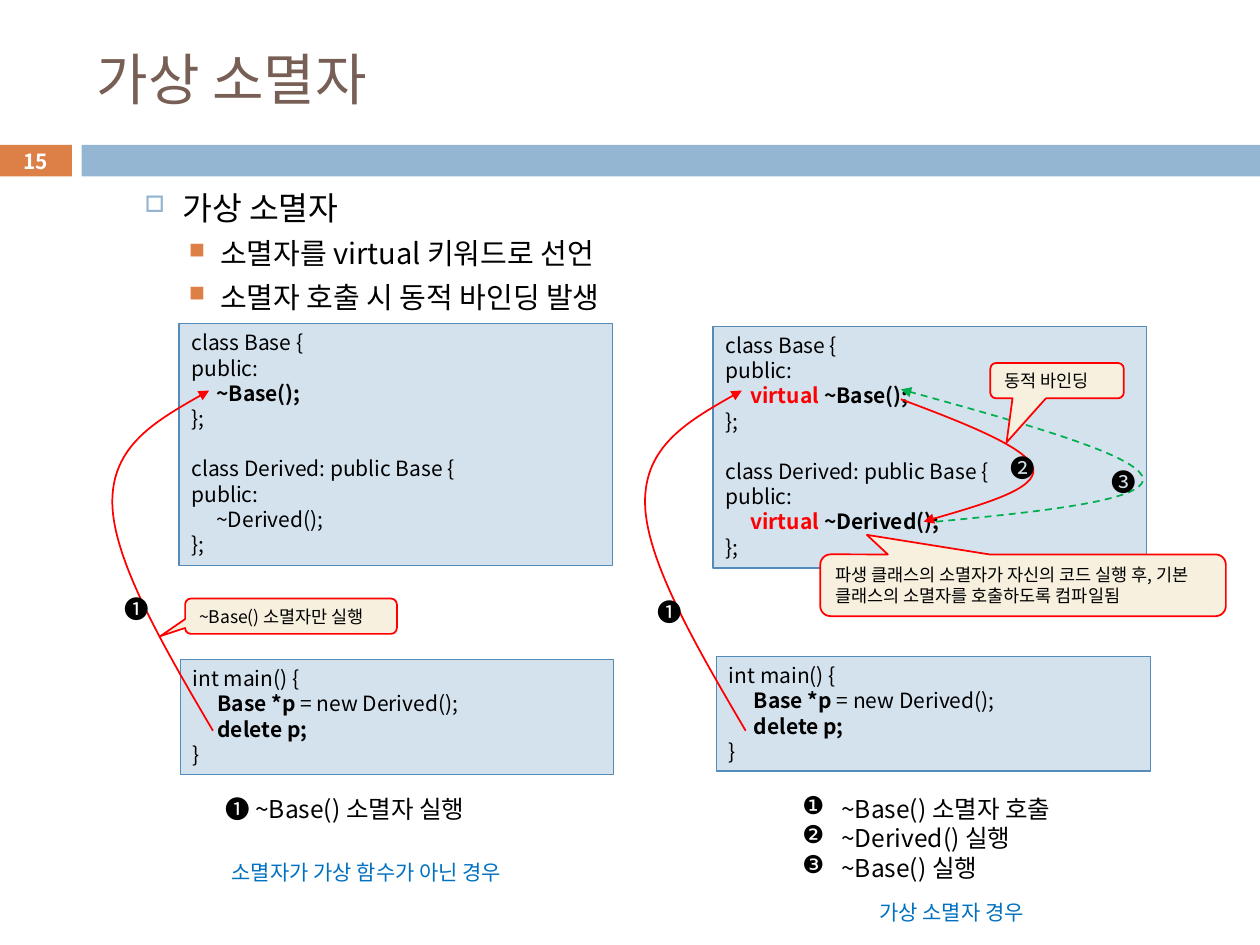
from lxml import etree
from pptx import Presentation
from pptx.dml.color import RGBColor
from pptx.enum import dml, shapes, text
from pptx.oxml import ns
from pptx.util import Pt

COLORS = {
    "black": "000000", "white": "FFFFFF", "title": "775F55", "bar": "94B6D2",
    "accent": "DD8047", "code": "D4E2ED", "edge": "558BB8", "note": "F7F0DE",
    "red": "FF0000", "green": "00B050", "caption": "0070C0",
}
FONT = "Noto Sans CJK KR"


def write(box, spans, size=12, color="black", bold=False, align="LEFT", anchor="TOP",
          wrap=True, before=0, bullet=None, bullet_color=None, bullet_size=100,
          indent=0, hang=0, tab=None):
    frame = box.text_frame
    frame.word_wrap = wrap
    frame.vertical_anchor = text.MSO_ANCHOR[anchor]
    para = frame.paragraphs[0]
    if para.runs:
        para = frame.add_paragraph()
    props = para._p.get_or_add_pPr()
    if bullet:
        props.set("marL", str(Pt(indent)))
        props.set("indent", str(-Pt(hang)))
        if bullet_color:
            tint = etree.SubElement(props, ns.qn("a:buClr"))
            etree.SubElement(tint, ns.qn("a:srgbClr"), val=COLORS[bullet_color])
        etree.SubElement(props, ns.qn("a:buSzPct"), val=str(bullet_size * 1000))
        etree.SubElement(props, ns.qn("a:buChar"), char=bullet)
    if tab:
        stops = etree.SubElement(props, ns.qn("a:tabLst"))
        etree.SubElement(stops, ns.qn("a:tab"), pos=str(Pt(tab)), algn="l")
    para.alignment = text.PP_ALIGN[align]
    para.line_spacing = Pt(round(size * 1.2, 2))
    para.space_before = Pt(before)
    if isinstance(spans, str):
        spans = [(spans, bold, color)]
    for words, heavy, ink in spans:
        span = para.add_run()
        span.text = words
        span.font.size = Pt(size)
        span.font.bold = heavy
        span.font.name = FONT
        span.font.color.rgb = RGBColor.from_string(COLORS[ink])
        etree.SubElement(span.font._element, ns.qn("a:ea"), typeface=FONT)


def add_shape(kind, left, top, width, height, fill, edge=None, weight=1):
    shape = page.shapes.add_shape(shapes.MSO_SHAPE[kind], Pt(left), Pt(top), Pt(width), Pt(height))
    shape.shadow.inherit = False
    shape.fill.solid()
    shape.fill.fore_color.rgb = RGBColor.from_string(COLORS[fill])
    if edge:
        shape.line.color.rgb = RGBColor.from_string(COLORS[edge])
        shape.line.width = Pt(weight)
    else:
        shape.line.fill.background()
    return shape


deck = Presentation()
deck.slide_width, deck.slide_height = Pt(720), Pt(540)
page = deck.slides.add_slide(deck.slide_layouts[6])

number = add_shape("RECTANGLE", -0.7, 82.8, 41.8, 18, "accent")
write(number, "15", size=11.9, color="white", bold=True, align="CENTER", anchor="MIDDLE")
add_shape("RECTANGLE", 46.6, 82.8, 673.4, 18, "bar")

title = page.shapes.add_textbox(Pt(48.2), Pt(18), Pt(642), Pt(53.3))
write(title, "가상 소멸자", size=32, color="title", anchor="MIDDLE")

body = page.shapes.add_textbox(Pt(46.8), Pt(104), Pt(642), Pt(70.6))
write(body, "가상 소멸자", size=18.5, bullet="□", bullet_color="bar", bullet_size=70,
      indent=50.4, hang=21.6)
for point in ("소멸자를 virtual 키워드로 선언", "소멸자 호출 시 동적 바인딩 발생"):
    write(body, point, size=16.6, before=5, bullet="■", bullet_color="accent", bullet_size=75,
          indent=72, hang=18)

virtual = ("virtual ", True, "red")
base_code = [
    "class Base {", "public:", [("\t", False, "black"), ("~Base();", True, "black")], "};",
    "class Derived: public Base {", "public:", "\t~Derived();", "};",
]
virtual_code = list(base_code)
virtual_code[2] = [("\t", False, "black"), virtual, ("~Base();", True, "black")]
virtual_code[6] = [("\t", False, "black"), virtual, ("~Derived();", True, "black")]
main_code = [
    "int main() {",
    [("\t", False, "black"), ("Base *p ", True, "black"), ("= new Derived();", False, "black")],
    [("\t", False, "black"), ("delete p;", True, "black")],
    "}",
]
for left, top, height, code in (
    (407.5, 186.5, 138.2, virtual_code), (102.4, 185, 138.2, base_code),
    (103, 376.9, 65.5, main_code), (409.5, 375.1, 65.5, main_code),
):
    box = add_shape("RECTANGLE", left, top, 247.8, height, "code", "edge", 0.75)
    for line in code:
        write(box, line, before=14.4 if line == "class Derived: public Base {" else 0, tab=14.2)

delete_curve = [(121.7, 417.6), (92.9, 368.6), (64.6, 319.7), (64.2, 287.3),
                (63.9, 254.9), (91.6, 239), (119.5, 223.2)]
curves = [
    ("green", [(535, 298.1), (596.2, 292.3), (656.6, 285.8), (653, 272.9),
               (649.4, 259.9), (582.5, 241.2), (514.8, 222.5)]),
    ("red", delete_curve),
    ("red", [(x + 304.4, y) for x, y in delete_curve]),
    ("red", [(514.8, 228.2), (551.5, 241.9), (588.2, 256.3), (590.4, 267.8),
             (592.6, 279.4), (560.2, 288.7), (527.8, 298.1)]),
]
for color, points in curves:
    points = [(Pt(x), Pt(y)) for x, y in points]
    builder = page.shapes.build_freeform(*points[0], scale=1.0)
    builder.add_line_segments(points[1:], close=False)
    curve = builder.convert_to_shape()
    curve.shadow.inherit = False
    curve.fill.background()
    curve.line.color.rgb = RGBColor.from_string(COLORS[color])
    curve.line.width = Pt(1)
    if color == "green":
        curve.line.dash_style = dml.MSO_LINE.DASH
    etree.SubElement(curve.element.find(".//" + ns.qn("a:ln")), ns.qn("a:tailEnd"), type="triangle")
    segments = list(curve.element.iter(ns.qn("a:lnTo")))
    for start in range(0, len(segments), 3):
        outline = segments[start].getparent()
        bezier = etree.SubElement(outline, ns.qn("a:cubicBezTo"))
        for segment in segments[start:start + 3]:
            bezier.append(segment[0])
            outline.remove(segment)

for left, top, width, height, tip, note in (
    (105.8, 342, 121, 20.2, (-0.617, 0.565), "~Base() 소멸자만 실행"),
    (565.9, 207.4, 76.3, 20.2, (-0.378, 1.746), "동적 바인딩"),
    (468.7, 316.8, 231.8, 35.3, (-0.385, -0.817),
     "파생 클래스의 소멸자가 자신의 코드 실행 후, 기본 클래스의 소멸자를 호출하도록 컴파일됨"),
):
    callout = add_shape("ROUNDED_RECTANGULAR_CALLOUT", left, top, width, height, "note", "red")
    callout.adjustments[0], callout.adjustments[1] = tip
    write(callout, note, size=10, anchor="MIDDLE")

for left, top, mark in ((64.1, 336.2, "❶"), (368.6, 337.7, "❶"),
                        (570.2, 255.6, "❷"), (627.8, 263.5, "❸")):
    marker = page.shapes.add_textbox(Pt(left), Pt(top), Pt(27.4), Pt(24.5))
    write(marker, mark, size=14, wrap=False)

for left, top, width, caption in ((125.3, 487.4, 189.4, "소멸자가 가상 함수가 아닌 경우"),
                                  (495.4, 510.5, 108, "가상 소멸자 경우")):
    box = page.shapes.add_textbox(Pt(left), Pt(top), Pt(width), Pt(21.6))
    write(box, caption, color="caption")

result = page.shapes.add_textbox(Pt(121.7), Pt(450), Pt(160.6), Pt(24.5))
write(result, "❶ ~Base() 소멸자 실행", size=14)
steps = page.shapes.add_textbox(Pt(451.4), Pt(450), Pt(165.6), Pt(58.3))
for mark, step in (("❶", "~Base() 소멸자 호출"), ("❷", "~Derived() 실행"), ("❸", "~Base() 실행")):
    write(steps, step, size=14, bullet=mark, indent=22.3, hang=22.3)

deck.save("out.pptx")
